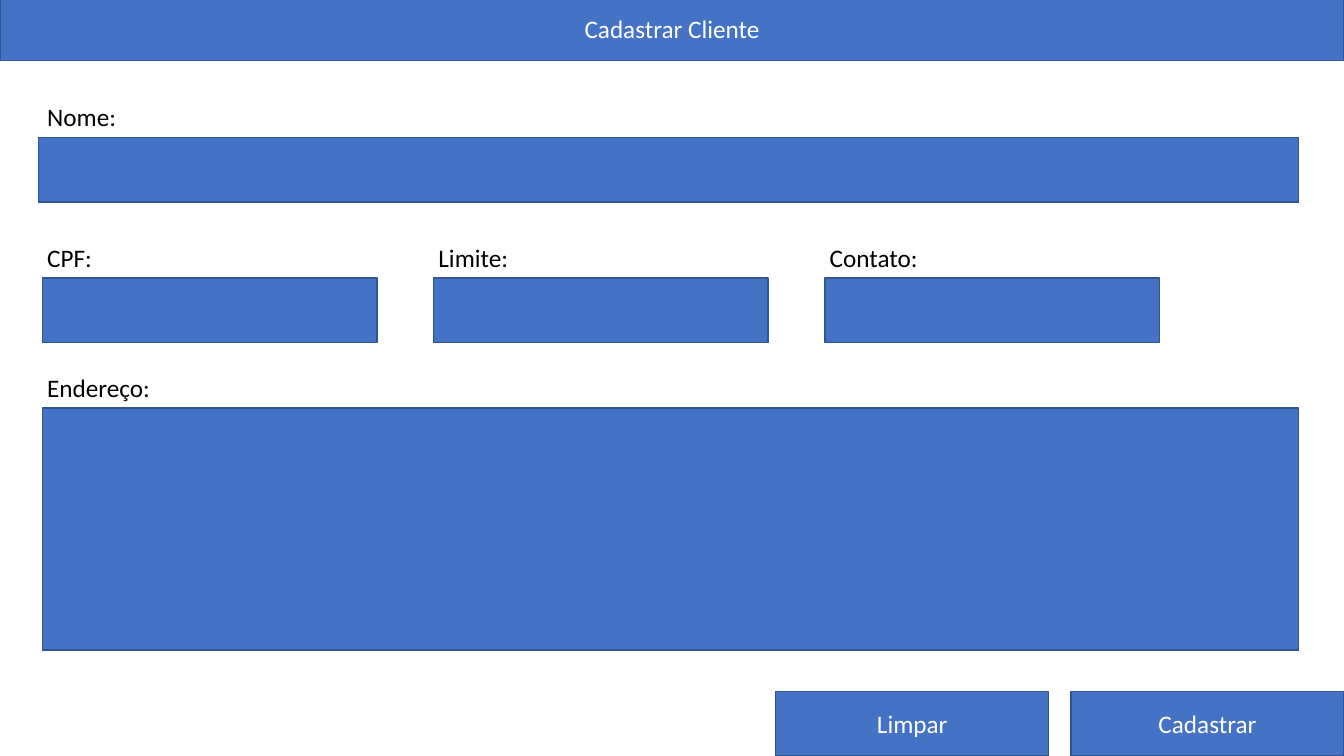
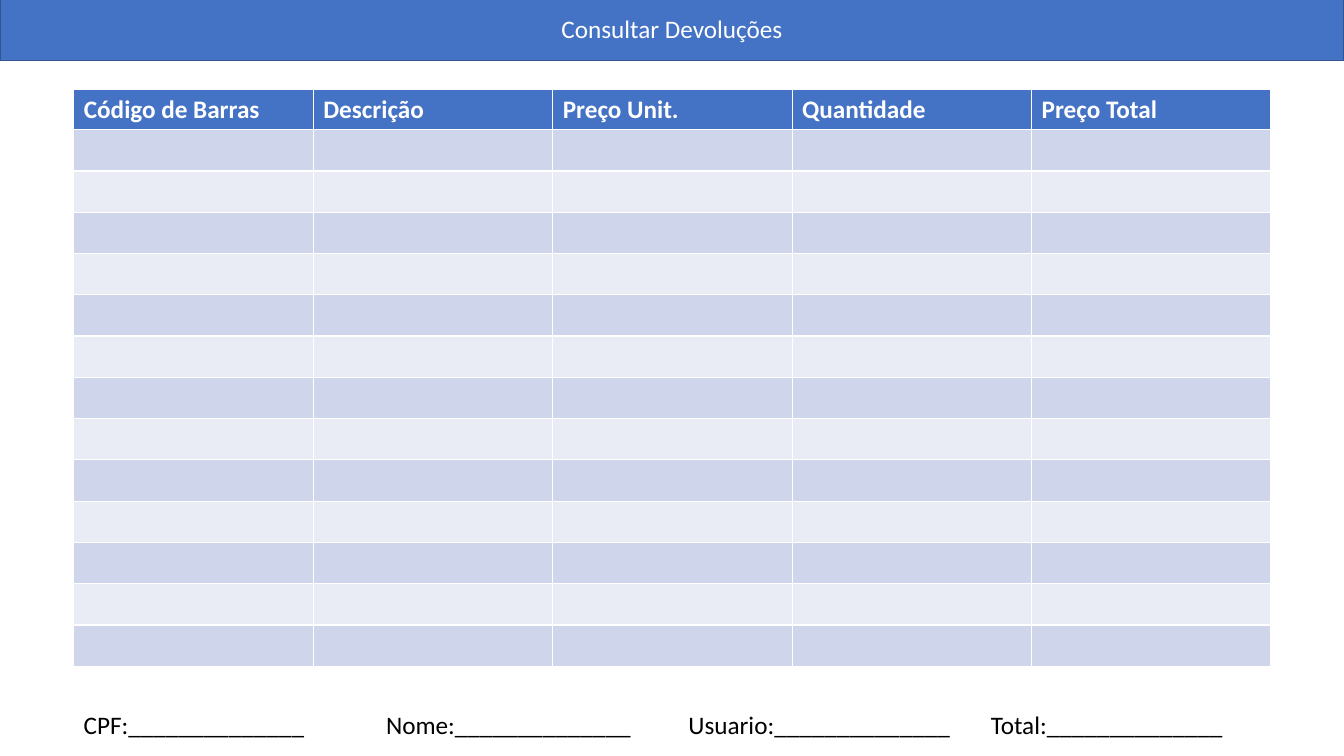
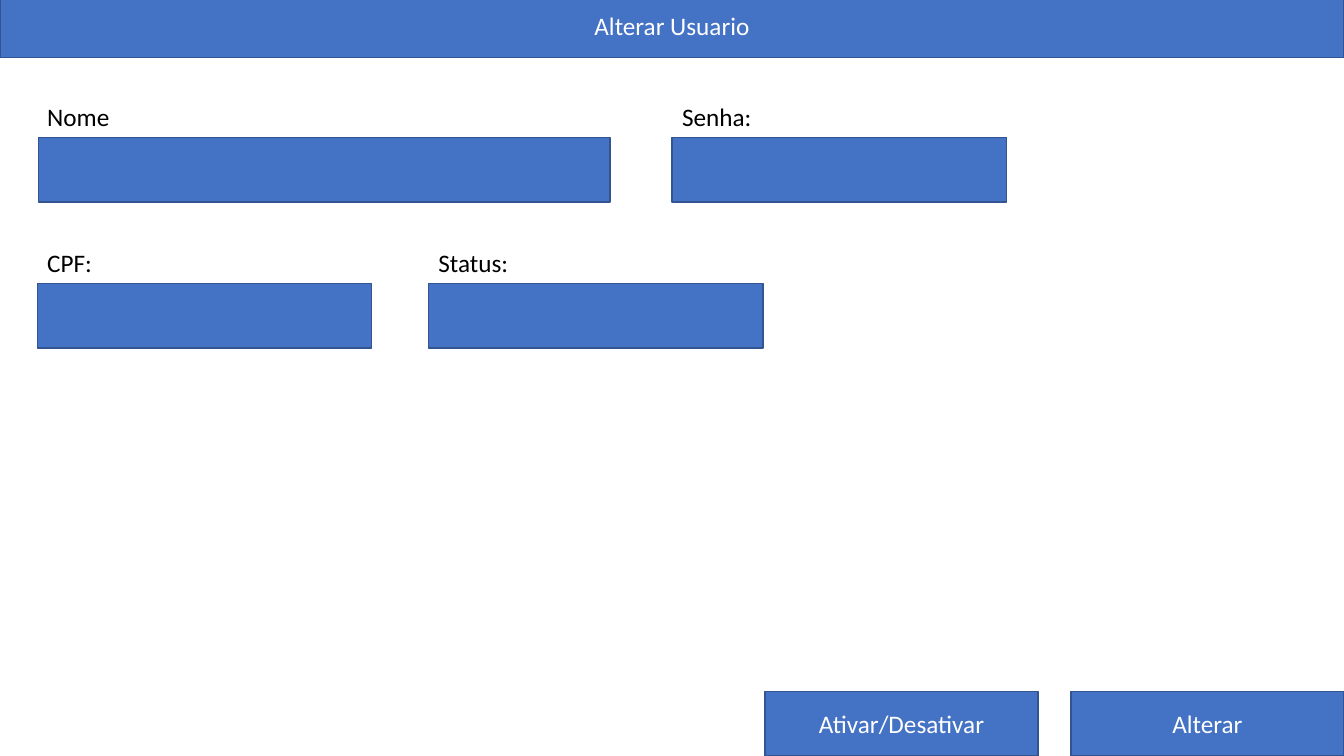
from pptx import Presentation
from pptx import util as u
from pptx.dml.color import RGBColor
from pptx.enum import shapes, text
from lxml import etree

COLORS = {
    "blue": "4472C4",
    "outline": "325491",
    "white": "FFFFFF",
    "black": "000000",
    "row_dark": "CFD5EA",
    "row_light": "E9EBF5",
}
RGB = {name: RGBColor.from_string(value) for name, value in COLORS.items()}
FONT, TEXT_SIZE = "Calibri", u.Pt(18)
SLIDE_W, SLIDE_H = 33.87, 19.05
BAR_H, LABEL_H = 1.63, 1.02
BUTTON_W = 6.88
FIELD_W, FIELD_PITCH = 8.43, 9.86
LABEL_LEFT = 0.94

prs = Presentation()
prs.slide_width, prs.slide_height = u.Cm(SLIDE_W), u.Cm(SLIDE_H)


def add_panel(slide, left, top, width, height=BAR_H, caption=""):
    """Blue outlined rectangle: title band, input field or button."""
    panel = slide.shapes.add_shape(
        shapes.MSO_SHAPE.RECTANGLE, u.Cm(left), u.Cm(top), u.Cm(width), u.Cm(height))
    panel.shadow.inherit = False
    panel.fill.solid()
    panel.fill.fore_color.rgb = RGB["blue"]
    panel.line.color.rgb = RGB["outline"]
    panel.line.width = u.Pt(1)
    if caption:
        panel.text_frame.vertical_anchor = text.MSO_ANCHOR.MIDDLE
        paragraph = panel.text_frame.paragraphs[0]
        paragraph.text = caption
        paragraph.alignment = text.PP_ALIGN.CENTER
        font = paragraph.font
        font.name, font.size, font.color.rgb = FONT, TEXT_SIZE, RGB["white"]


def add_label(slide, caption, left, top, width, tab_stops=()):
    """Black one-line text; tab_stops are in centimetres."""
    label = slide.shapes.add_textbox(u.Cm(left), u.Cm(top), u.Cm(width), u.Cm(LABEL_H))
    label.text_frame.word_wrap = True
    paragraph = label.text_frame.paragraphs[0]
    paragraph.text = caption
    if tab_stops:
        properties = paragraph._p.get_or_add_pPr()
        namespace = "{%s}" % properties.nsmap["a"]
        tab_list = etree.SubElement(properties, namespace + "tabLst")
        for stop in tab_stops:
            etree.SubElement(tab_list, namespace + "tab", pos=str(u.Cm(stop)), algn="l")
    font = paragraph.font
    font.name, font.size, font.color.rgb = FONT, TEXT_SIZE, RGB["black"]


# Fields: label, label left, label top, field shift from label, field width, field height
# Buttons: captions from right to left, and the gap between them
screens = [
    {
        "title": "Cadastrar Cliente", "title_top": -0.1,
        "fields": [
            ("Nome:", LABEL_LEFT, 2.44, 0.03, 31.75, BAR_H),
            *[(name, LABEL_LEFT + column * FIELD_PITCH, 5.99, 0.13, FIELD_W, BAR_H)
              for column, name in enumerate(["CPF:", "Limite:", "Contato:"])],
            ("Endereço:", LABEL_LEFT, 9.26, 0.13, 31.65, 6.1),
        ],
        "buttons": ["Cadastrar", "Limpar"], "button_gap": 0.56,
    },
    {
        "title": "Consultar Devoluções", "title_top": -0.1,
        "fields": [],
        "buttons": [], "button_gap": 0,
    },
    {
        "title": "Alterar Usuario", "title_top": -0.18,
        "fields": [
            ("Nome", LABEL_LEFT, 2.44, 0.03, 14.4, BAR_H),
            ("Senha:", 16.94, 2.44, 0, FIELD_W, BAR_H),
            *[(name, LABEL_LEFT + column * FIELD_PITCH, 6.12, 0, FIELD_W, BAR_H)
              for column, name in enumerate(["CPF:", "Status:"])],
        ],
        "buttons": ["Alterar", "Ativar/Desativar"], "button_gap": 0.83,
    },
]

slides = []
for screen in screens:
    slide = prs.slides.add_slide(prs.slide_layouts[6])
    slides.append(slide)
    add_panel(slide, 0, screen["title_top"], SLIDE_W, caption=screen["title"])
    for name, left, top, shift, width, height in screen["fields"]:
        add_label(slide, name, left, top, 6)
        add_panel(slide, left + shift, top + LABEL_H, width, height)
    for place, caption in enumerate(screen["buttons"]):
        left = SLIDE_W - BUTTON_W - place * (BUTTON_W + screen["button_gap"])
        add_panel(slide, left, SLIDE_H - BAR_H, BUTTON_W, caption=caption)

# Returns table and its summary line
returns_slide = slides[1]
headings = ["Código de Barras", "Descrição", "Preço Unit.", "Quantidade", "Preço Total"]
ITEM_ROWS = 13
HEADING_H, ITEM_H = 0.99, 1.04
TABLE_LEFT, TABLE_W = 1.86, 30.17
returns = returns_slide.shapes.add_table(
    ITEM_ROWS + 1, len(headings), u.Cm(TABLE_LEFT), u.Cm(2.25),
    u.Cm(TABLE_W), u.Cm(HEADING_H + ITEM_ROWS * ITEM_H)).table

for index, row in enumerate(returns.rows):
    row.height = u.Cm(ITEM_H if index else HEADING_H)
    row_color = "blue" if index == 0 else "row_dark" if index % 2 else "row_light"
    for cell in row.cells:
        cell.fill.solid()
        cell.fill.fore_color.rgb = RGB[row_color]

for column, heading in enumerate(headings):
    paragraph = returns.cell(0, column).text_frame.paragraphs[0]
    paragraph.text = heading
    font = paragraph.font
    font.name, font.size, font.bold = FONT, TEXT_SIZE, True
    font.color.rgb = RGB["white"]

summary = "\t".join(name + "_" * 14 for name in ["CPF:", "Nome:", "Usuario:", "Total:"])
add_label(returns_slide, summary, TABLE_LEFT, 17.75, TABLE_W,
          tab_stops=[7.62 * stop for stop in (1, 2, 3)])

prs.save("out.pptx")
